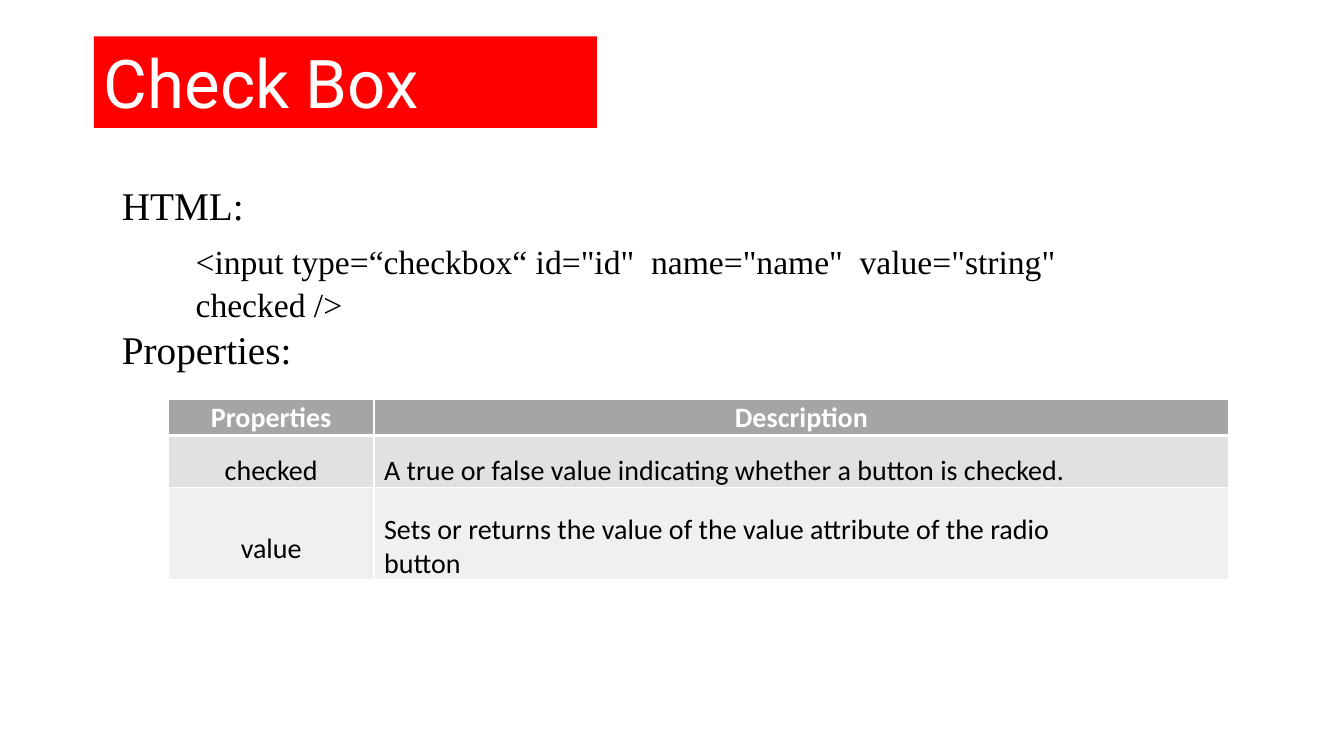
"""Build the Check Box slide: markup sample and a table of its properties."""
from dataclasses import dataclass

from lxml.etree import SubElement
from pptx import Presentation
from pptx.dml.color import RGBColor as Color
from pptx.enum.text import MSO_ANCHOR as Anchor, MSO_AUTO_SIZE as AutoSize, PP_ALIGN as Align
from pptx.oxml.ns import qn
from pptx.util import Inches, Pt

TITLE = ("Check Box", (6.98, 4.8, 37.43, 12.13))
HEADINGS = [
    ("HTML:", (9, 23.87, 18.6, 6.53)),
    ("Properties:", (9, 42.93, 14.03, 6.53)),
]
CODE = (
    '<input type=“checkbox“ id="id"  name="name"  value="string"  checked />',
    (3.15, 30.93, 83.93, 12.13),
)
ROWS = [
    ("Properties", "Description"),
    ("checked", "A true or false value indicating whether a button is checked."),
    ("value", "Sets or returns the value of the value attribute of the radio\nbutton"),
]
TABLE_CORNER = (12.53, 52.8)
COLUMN_SHARES = (15.3, 63.6)
ROW_SHARES = (4.8, 6.8, 12.27)
TOP_INSETS = [(0.02, 0.02), (0.18, 0.18), (0.44, 0.25)]
RULES = (1, 3, 1, 1)


@dataclass(frozen=True)
class Theme:
    title_font: str = "Roboto"
    text_font: str = "Times New Roman"
    table_font: str = "Calibri"
    title_size: int = 48
    heading_size: int = 28
    code_size: int = 24
    table_size: int = 20
    banner: str = "FF0000"
    light: str = "FFFFFF"
    dark: str = "000000"
    row_fills: tuple = ("A5A5A5", "E1E1E1", "F0F0F0")


THEME = Theme()
deck = Presentation()
deck.slide_width, deck.slide_height = Inches(13.33), Inches(7.5)


def across(share):
    return int(deck.slide_width * share / 100)


def down(share):
    return int(deck.slide_height * share / 100)


def area(shares):
    left, top, width, height = shares
    return across(left), down(top), across(width), down(height)


def write(frame, text, font, size, color, align=Align.LEFT, bold=False, spacing=1.0):
    frame.text = text
    frame.word_wrap = True
    for para in frame.paragraphs:
        para.alignment = align
        para.line_spacing = spacing
        for span in para.runs:
            span.font.name, span.font.size, span.font.bold = font, Pt(size), bold
            span.font.color.rgb = Color.from_string(color)


def add_title(page):
    text, shares = TITLE
    banner = page.shapes.title
    banner.left, banner.top, banner.width, banner.height = area(shares)
    banner.fill.solid()
    banner.fill.fore_color.rgb = Color.from_string(THEME.banner)
    write(banner.text_frame, text, THEME.title_font, THEME.title_size, THEME.light)
    banner.text_frame.auto_size = AutoSize.NONE
    banner.text_frame.vertical_anchor = Anchor.TOP


def add_text(page):
    for text, shares in HEADINGS:
        frame = page.shapes.add_textbox(*area(shares)).text_frame
        frame.margin_left = frame.margin_top = Inches(0.01)
        frame.margin_right = frame.margin_bottom = 0
        write(frame, text, THEME.text_font, THEME.heading_size, THEME.dark)
    text, shares = CODE
    frame = page.shapes.add_textbox(*area(shares)).text_frame
    frame.margin_left = Inches(1.52)
    write(frame, text, THEME.text_font, THEME.code_size, THEME.dark, spacing=1.06)


def add_borders(cell, above, below):
    properties = cell._tc.get_or_add_tcPr()
    for side, width in zip("LRTB", (1, 1, above, below)):
        line = SubElement(properties, qn(f"a:ln{side}"), w=str(Pt(width)))
        SubElement(SubElement(line, qn("a:solidFill")), qn("a:srgbClr"), val=THEME.light)


def add_properties(page):
    left, top = TABLE_CORNER
    shares = (left, top, sum(COLUMN_SHARES), sum(ROW_SHARES))
    table = page.shapes.add_table(len(ROWS), len(COLUMN_SHARES), *area(shares)).table
    table.horz_banding = False
    for column, share in zip(table.columns, COLUMN_SHARES):
        column.width = across(share)
    for row, share in zip(table.rows, ROW_SHARES):
        row.height = down(share)
    for r, texts in enumerate(ROWS):
        header = r == 0
        for c, text in enumerate(texts):
            cell = table.cell(r, c)
            centred = header or c == 0
            cell.margin_left = 0 if centred else Inches(0.1)
            cell.margin_right = cell.margin_bottom = 0
            cell.margin_top = Inches(TOP_INSETS[r][c])
            add_borders(cell, RULES[r], RULES[r + 1])
            cell.fill.solid()
            cell.fill.fore_color.rgb = Color.from_string(THEME.row_fills[r])
            write(cell.text_frame, text, THEME.table_font, THEME.table_size,
                  THEME.light if header else THEME.dark,
                  Align.CENTER if centred else Align.LEFT, header)


def main():
    page = deck.slides.add_slide(deck.slide_layouts[5])
    add_title(page)
    add_text(page)
    add_properties(page)
    deck.save("out.pptx")


if __name__ == "__main__":
    main()
